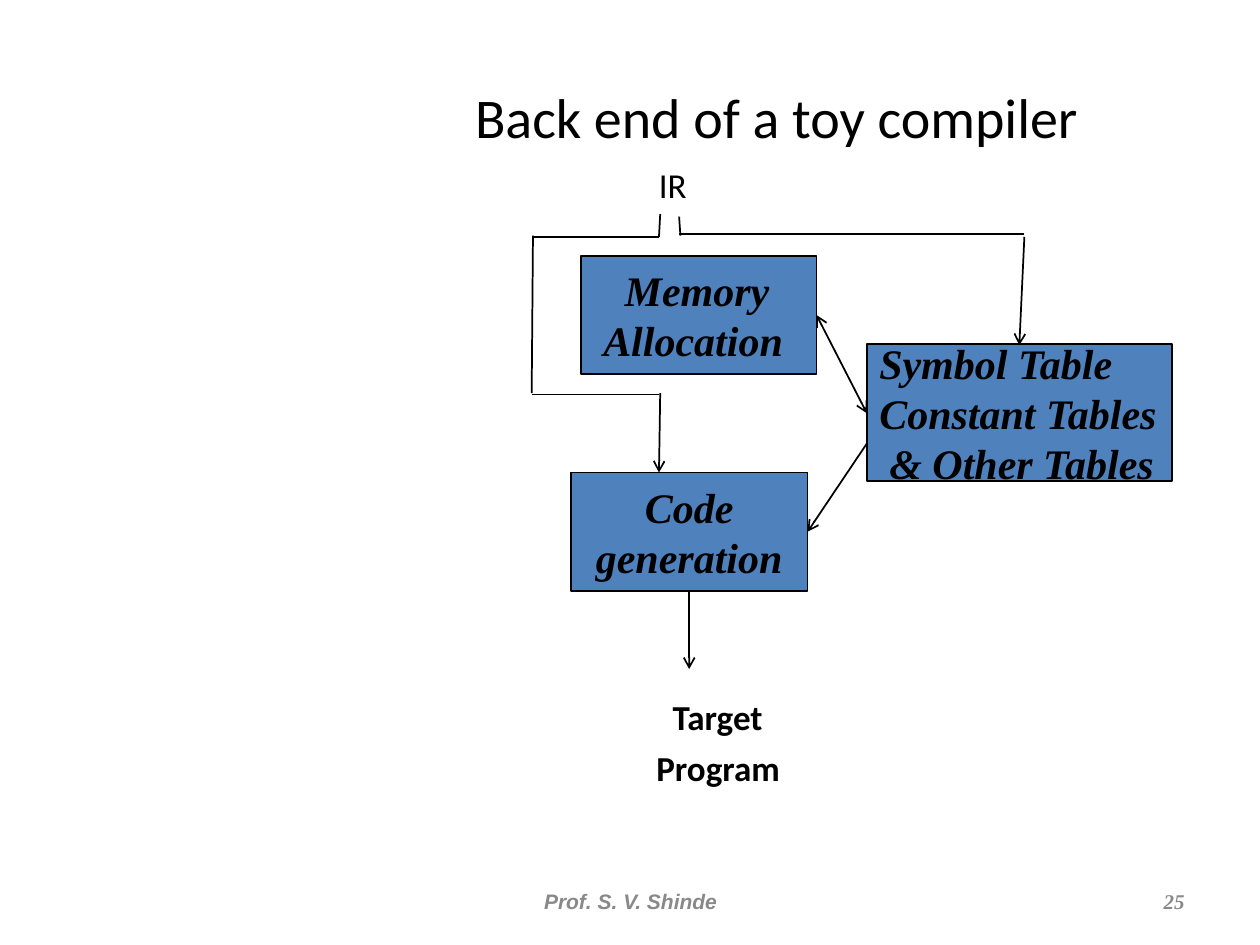
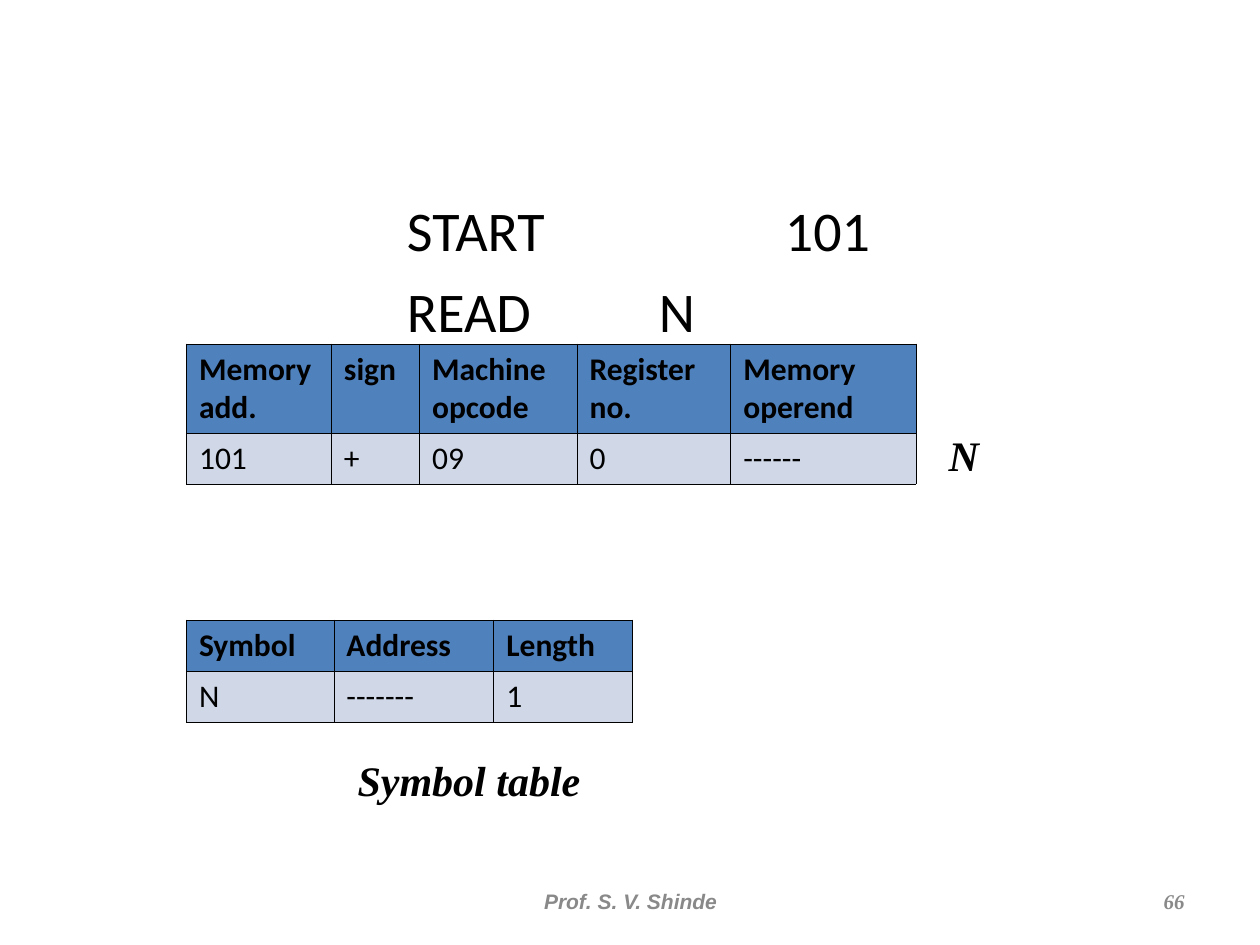
from lxml import etree
from pptx import Presentation
from pptx.dml.color import RGBColor
from pptx.enum.shapes import MSO_CONNECTOR, MSO_SHAPE
from pptx.enum.text import MSO_ANCHOR, PP_ALIGN
from pptx.oxml.ns import qn
from pptx.util import Inches, Pt

LEFT, CENTER, RIGHT = PP_ALIGN.LEFT, PP_ALIGN.CENTER, PP_ALIGN.RIGHT
TOP, MIDDLE = MSO_ANCHOR.TOP, MSO_ANCHOR.MIDDLE
RECTANGLE, STRAIGHT = MSO_SHAPE.RECTANGLE, MSO_CONNECTOR.STRAIGHT

# Theme: colours and type styles
THEME = {
    "ink": RGBColor.from_string("000000"),
    "muted": RGBColor.from_string("898989"),
    "blue": RGBColor.from_string("4F81BD"),
    "pale": RGBColor.from_string("D0D8E8"),
    "line": Pt(1),
    "border": Pt(0.45),
    "title": {"name": "Calibri", "size": Pt(32)},
    "label": {"name": "Calibri", "size": Pt(20)},
    "strong label": {"name": "Calibri", "size": Pt(20), "bold": True},
    "block": {"name": "Times New Roman", "size": Pt(24), "bold": True, "italic": True},
    "header cell": {"name": "Calibri", "size": Pt(18), "bold": True},
    "body cell": {"name": "Calibri", "size": Pt(18), "bold": False},
    "footer": {"name": "Arial", "size": Pt(12), "bold": True, "italic": True},
    "number": {"name": "Times New Roman", "size": Pt(12), "bold": True, "italic": True},
}

presentation = Presentation()
presentation.slide_width, presentation.slide_height = Inches(10), Inches(7.5)

# Grid: 100 columns by 75 rows
COLUMN = presentation.slide_width / 100
ROW = presentation.slide_height / 75


def write(frame, lines, style, color="ink", alignment=LEFT, indents=(), gap=0):
    """Fill a text frame; indents are in columns, one for each line."""
    for index, line in enumerate(lines):
        paragraph = frame.paragraphs[0] if index == 0 else frame.add_paragraph()
        paragraph.alignment = alignment
        if index:
            paragraph.space_before = Pt(gap)
        if indents:
            paragraph._p.get_or_add_pPr().set("marL", str(round(indents[index] * COLUMN)))
        run = paragraph.add_run()
        run.text = line
        run.font.color.rgb = THEME[color]
        for name, value in THEME[style].items():
            setattr(run.font, name, value)


def add_text(slide, area, lines, style, anchor=TOP, wrap=True, **options):
    """Add a text box; area is left, top, width, height on the grid."""
    left, top, width, height = area
    box = slide.shapes.add_textbox(
        round(left * COLUMN), round(top * ROW), round(width * COLUMN), round(height * ROW))
    frame = box.text_frame
    frame.word_wrap, frame.vertical_anchor = wrap, anchor
    write(frame, lines, style, **options)
    return frame


# Slides with their shared footer
slides = []
for page_number in ("25", "66"):
    slide = presentation.slides.add_slide(presentation.slide_layouts[6])
    add_text(slide, (34.2, 69.5, 31.7, 4), ["Prof. S. V. Shinde"], "footer",
             MIDDLE, color="muted", alignment=CENTER)
    add_text(slide, (71.7, 69.5, 23.3, 4), [page_number], "number",
             MIDDLE, color="muted", alignment=RIGHT)
    slides.append(slide)
compiler_slide, listing_slide = slides

# Slide 1: title and labels
add_text(compiler_slide, (28.3, 3, 66.7, 12.5), ["Back end of a toy compiler"],
         "title", MIDDLE, alignment=CENTER)
add_text(compiler_slide, (46.9, 12.5, 11, 4.5), ["IR"], "label", indents=[4.4])
add_text(compiler_slide, (49.2, 54.7, 17.2, 8.6), ["Target", "Program"],
         "strong label", indents=[3.2, 1.9], gap=5)

# Slide 1: compiler phases and tables
blocks = [
    ((46.1, 20.3, 18.7, 9.4), ["Memory", "Allocation"], LEFT, [2.5, 0.8]),
    ((68.8, 27.3, 24.2, 10.9), ["Symbol Table", "Constant Tables", "& Other Tables"],
     LEFT, [0, 0, 0.8]),
    ((45.3, 37.5, 18.8, 9.4), ["Code", "generation"], CENTER, [0, 0]),
]
for (left, top, width, height), lines, alignment, indents in blocks:
    block = compiler_slide.shapes.add_shape(
        RECTANGLE, round(left * COLUMN), round(top * ROW),
        round(width * COLUMN), round(height * ROW))
    block.shadow.inherit = False
    block.fill.solid()
    block.fill.fore_color.rgb = THEME["blue"]
    block.line.color.rgb, block.line.width = THEME["ink"], THEME["line"]
    frame = block.text_frame
    frame.word_wrap, frame.vertical_anchor = True, MIDDLE
    if alignment == LEFT:
        frame.margin_right = 0
    write(frame, lines, "block", alignment=alignment, indents=indents)

# Slide 1: flow lines as start, end and arrowheads
flows = [
    # IR to code generation
    (52.4, 17, 52.3, 18.8, ()),
    (52.3, 18.8, 42.2, 18.8, ()),
    (42.2, 31.2, 42.3, 18.7, ()),
    (52.3, 31.3, 42.2, 31.3, ()),
    (52.4, 31.2, 52.3, 37.5, ("tailEnd",)),
    # Tables to both phases
    (64.8, 25, 68.8, 32.8, ("headEnd", "tailEnd")),
    (68.8, 35.2, 64.1, 42.2, ("tailEnd",)),
    # IR to tables
    (54, 18.7, 53.9, 17.2, ()),
    (81.3, 18.6, 53.9, 18.6, ()),
    (81.3, 18.8, 80.9, 27.4, ("tailEnd",)),
    # Code generation to target program
    (54.7, 46.9, 54.7, 53.1, ("tailEnd",)),
]
for start_x, start_y, end_x, end_y, arrowheads in flows:
    flow = compiler_slide.shapes.add_connector(
        STRAIGHT, round(start_x * COLUMN), round(start_y * ROW),
        round(end_x * COLUMN), round(end_y * ROW))
    flow.line.color.rgb, flow.line.width = THEME["ink"], THEME["line"]
    for arrowhead in arrowheads:
        etree.SubElement(flow.line._get_or_add_ln(), qn(f"a:{arrowhead}"), type="arrow")
    etree.SubElement(flow._element.spPr, qn("a:effectLst"))

# Slide 2: assembly statements, operands on tab stops
statements = add_text(listing_slide, (7.5, 15, 90.4, 48.8),
                      ["START\t101", "READ\tN"], "title", gap=8)
statements.margin_left = round(24.8 * COLUMN)
for paragraph, stop in zip(statements.paragraphs, (30, 20)):
    tab_list = etree.SubElement(paragraph._p.get_or_add_pPr(), qn("a:tabLst"))
    etree.SubElement(tab_list, qn("a:tab"), pos=str(round(stop * COLUMN)), algn="l")

# Slide 2: machine code and symbol tables
tables = [
    (27.3, [11.5, 7, 12.5, 12.2, 14.7], [7.1, 4],
     [["Memory add.", "sign", "Machine opcode", "Register no.", "Memory operend"],
      ["101", "+", "09", "0", "------"]]),
    (49.2, [11.7, 12.7, 11], [4.1, 4],
     [["Symbol", "Address", "Length"], ["N", "-------", "1"]]),
]
for top, widths, heights, rows in tables:
    table = listing_slide.shapes.add_table(
        len(rows), len(widths), round(14.8 * COLUMN), round(top * ROW),
        round(sum(widths) * COLUMN), round(sum(heights) * ROW)).table
    for column, width in zip(table.columns, widths):
        column.width = round(width * COLUMN)
    for row_index, (row, height) in enumerate(zip(rows, heights)):
        table.rows[row_index].height = round(height * ROW)
        style, fill = ("body cell", "pale") if row_index else ("header cell", "blue")
        for column_index, text in enumerate(row):
            cell = table.cell(row_index, column_index)
            write(cell.text_frame, [text], style)
            properties = cell._tc.get_or_add_tcPr()
            for side in ("lnL", "lnR", "lnT", "lnB"):
                border = etree.SubElement(properties, qn(f"a:{side}"), w=str(THEME["border"]))
                border_fill = etree.SubElement(border, qn("a:solidFill"))
                etree.SubElement(border_fill, qn("a:srgbClr"), val=str(THEME["ink"]))
            cell.fill.solid()
            cell.fill.fore_color.rgb = THEME[fill]

# Slide 2: table notes
add_text(listing_slide, (74.3, 33.6, 4.4, 5), ["N"], "block", wrap=False)
add_text(listing_slide, (27.4, 59.4, 19.7, 5), ["Symbol table"], "block", wrap=False)

presentation.save("out.pptx")
